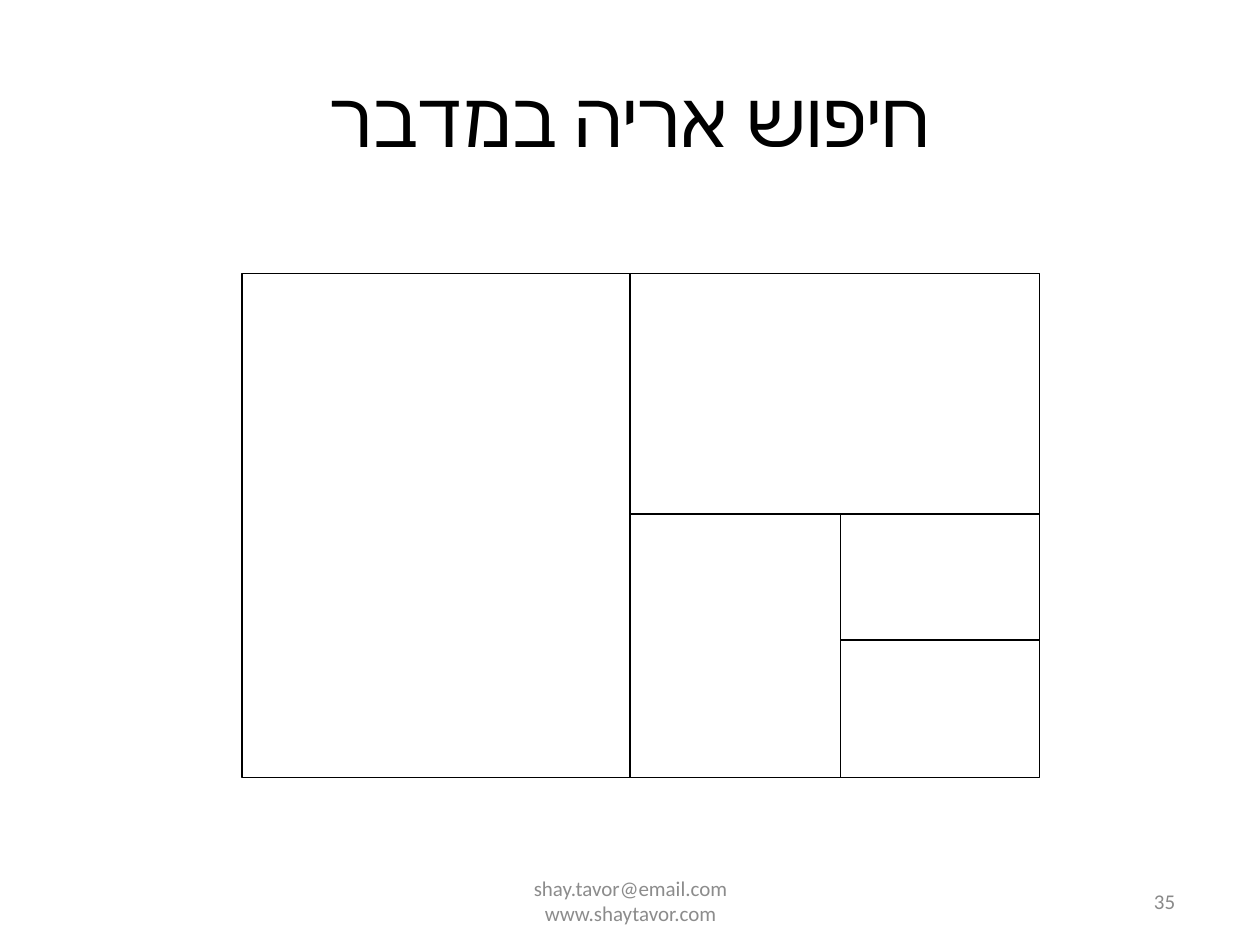
"""Build the slide on searching for a lion in the desert by halving it."""
from dataclasses import dataclass

from lxml import etree
from pptx import Presentation
from pptx import util as u
from pptx.dml.color import RGBColor as Rgb
from pptx.enum import shapes, text
from pptx.oxml.ns import qn


@dataclass
class Theme:
    font: str = "Calibri"
    ink: Rgb = Rgb(0, 0, 0)
    foot: Rgb = Rgb(0x8C, 0x8C, 0x8C)
    page: Rgb = Rgb(0x89, 0x89, 0x89)
    big: int = 44
    small: int = 12
    line: float = 0.75


theme = Theme()
deck = Presentation()
deck.slide_width, deck.slide_height = u.Inches(10), u.Inches(7.5)
slide = deck.slides.add_slide(deck.slide_layouts[6])

mid, left = text.PP_ALIGN.CENTER, text.PP_ALIGN.LEFT
labels = [
    ((0.5, 0.3, 9, 1.25), ["חיפוש אריה במדבר"], theme.big, theme.ink, mid),
    ((3.42, 6.95, 3.17, 0.4), ["shay.tavor@email.com", "www.shaytavor.com"],
     theme.small, theme.foot, mid),
    ((9.06, 6.95, 0.44, 0.4), ["35"], theme.small, theme.page, left),
]
for area, lines, size, color, align in labels:
    frame = slide.shapes.add_textbox(*map(u.Inches, area)).text_frame
    frame.word_wrap = True
    frame.vertical_anchor = text.MSO_ANCHOR.MIDDLE
    para = frame.paragraphs[0]
    para.alignment = align
    if align == mid:
        para._p.get_or_add_pPr().set("rtl", "1")
    for i, words in enumerate(lines):
        if i:
            para.add_line_break()
        run = para.add_run()
        run.text = words
        run.font.name = theme.font
        run.font.size = u.Pt(size)
        run.font.color.rgb = color
        etree.SubElement(run._r.rPr, qn("a:cs"), typeface=theme.font)

west, north, east, south = 1.92, 2.17, 8.25, 6.17
half, third = 5, 6.67
upper, lower = 4.08, 5.08

field = slide.shapes.add_shape(
    shapes.MSO_SHAPE.RECTANGLE,
    *map(u.Inches, (west, north, east - west, south - north)))
field.shadow.inherit = False
field.fill.background()
field.line.color.rgb = theme.ink
field.line.width = u.Pt(theme.line)

cuts = [
    (half, north, half, south),
    (half, upper, east, upper),
    (third, upper, third, south),
    (third, lower, east, lower),
]
for ends in cuts:
    cut = slide.shapes.add_connector(
        shapes.MSO_CONNECTOR.STRAIGHT, *map(u.Inches, ends))
    cut.line.color.rgb = theme.ink
    cut.line.width = u.Pt(theme.line)
    etree.SubElement(cut._element.spPr, qn("a:effectLst"))

deck.save("out.pptx")
